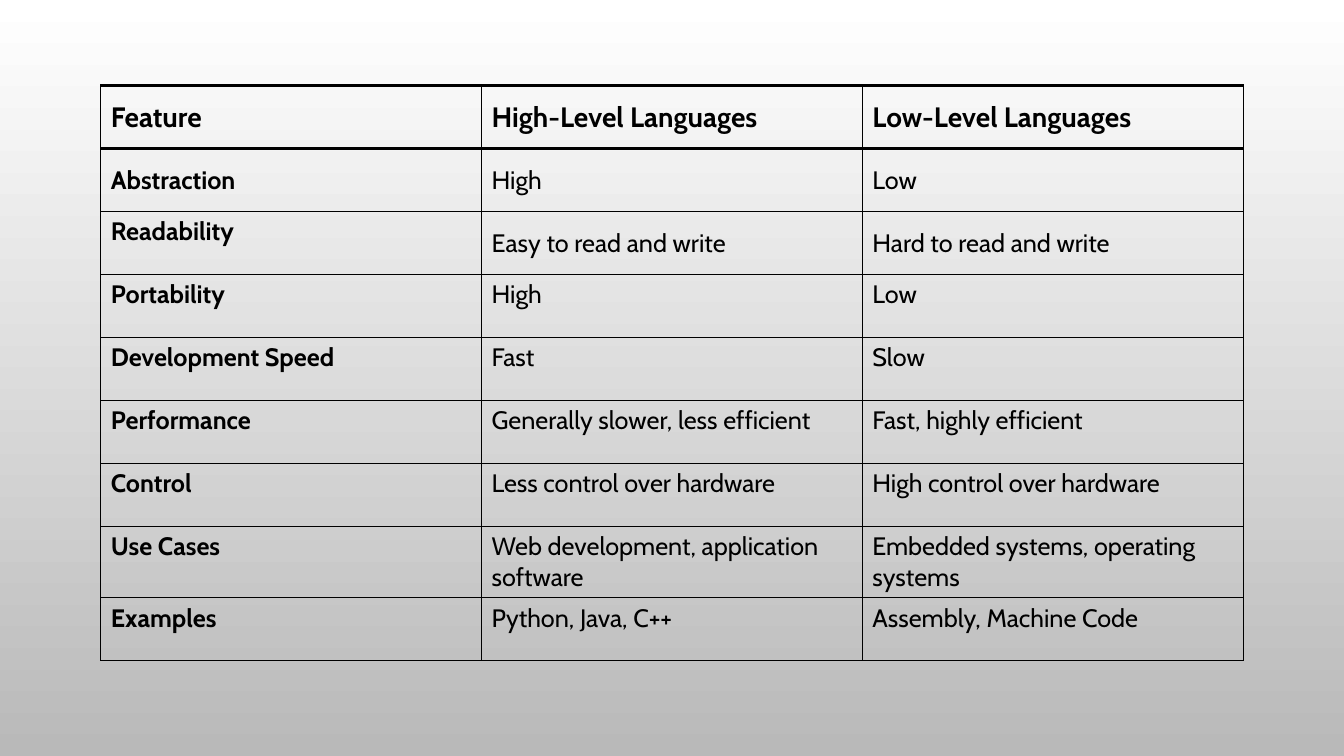
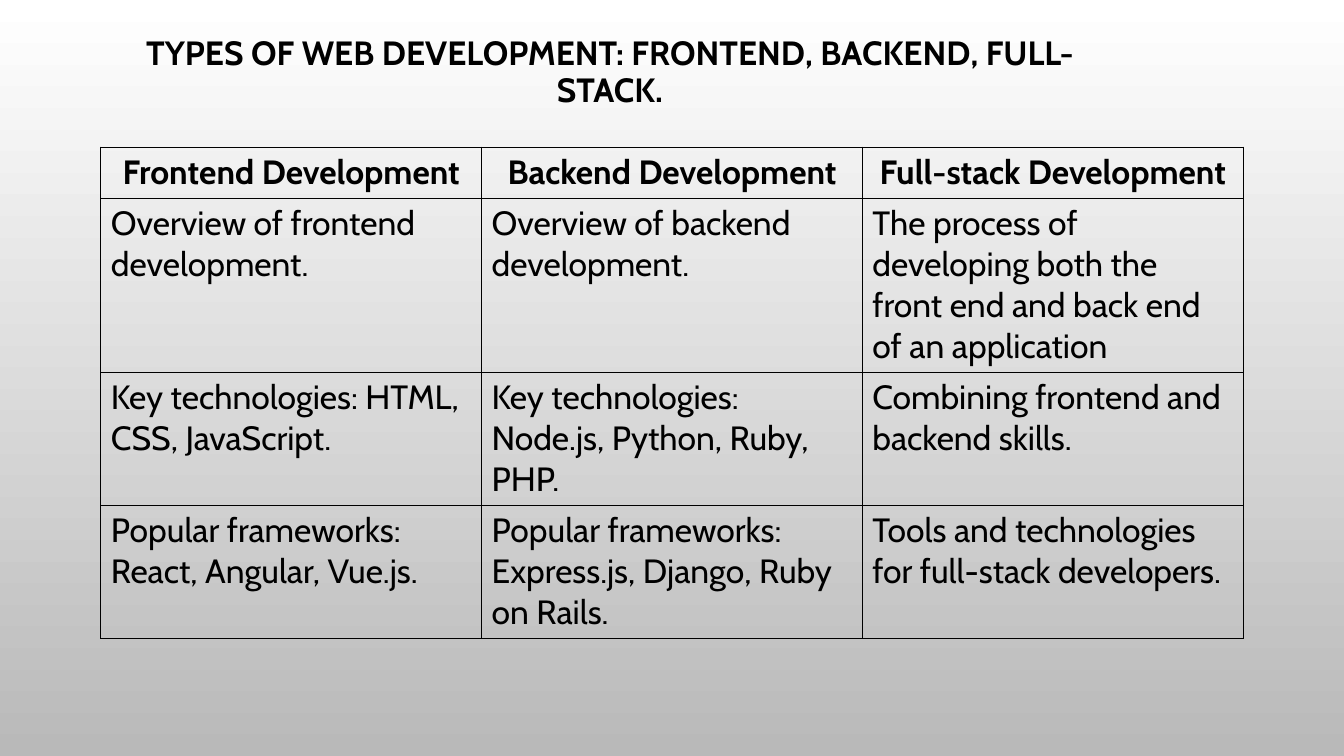
from pptx import Presentation
from pptx.dml.color import RGBColor
from pptx.enum.text import MSO_ANCHOR, MSO_AUTO_SIZE, PP_ALIGN
from pptx.oxml import parse_xml
from pptx.oxml.ns import nsdecls
from pptx.util import Inches, Pt


def tint(code):
    return RGBColor.from_string(code)


def write(frame, text, size=18, bold=False, align=PP_ALIGN.LEFT, color="000000", font="Cabin", space=1.0):
    para = frame.paragraphs[0]
    para.alignment = align
    para.line_spacing = space
    run = para.add_run()
    run.text = text
    run.font.size = Pt(size)
    run.font.bold = bold
    run.font.name = font
    run.font.color.rgb = tint(color)


class Deck:
    """Hold the shared style and the current slide."""

    ink = "000000"
    shades = ("FFFFFF", "B9B9B9")
    left, width = Inches(1), Inches(11.33)

    def __init__(self):
        self.file = Presentation()
        self.file.slide_width = Inches(13.33)
        self.file.slide_height = Inches(7.5)

    def add(self):
        self.slide = self.file.slides.add_slide(self.file.slide_layouts[6])
        fill = self.slide.background.fill
        fill.gradient()
        fill.gradient_angle = 270
        for stop, shade in zip(fill.gradient_stops, self.shades):
            stop.color.rgb = tint(shade)

    def title(self, text):
        box = self.slide.shapes.add_textbox(self.left, Inches(0.48), Inches(10.1), Inches(0.49))
        frame = box.text_frame
        frame.word_wrap = True
        frame.auto_size = MSO_AUTO_SIZE.NONE
        frame.vertical_anchor = MSO_ANCHOR.MIDDLE
        write(frame, text, size=24, bold=True, align=PP_ALIGN.CENTER, space=0.9)

    def border(self, cell, top, base):
        props = cell._tc.get_or_add_tcPr()
        for spot, (side, size) in enumerate(zip("LRTB", (1, 1, top, base))):
            props.insert(spot, parse_xml(
                f'<a:ln{side} {nsdecls("a")} w="{Pt(size)}"><a:solidFill>'
                f'<a:srgbClr val="{self.ink}"/></a:solidFill></a:ln{side}>'))

    def table(self, rows, top, height, style, rule=1, middle=()):
        grid = self.slide.shapes.add_table(
            len(rows), len(rows[0]), self.left, Inches(top), self.width, Inches(height)).table
        grid.first_row = grid.horz_banding = False
        for r, row in enumerate(rows):
            for c, text in enumerate(row):
                cell = grid.cell(r, c)
                cell.fill.background()
                self.border(cell, rule if r < 2 else 1, rule if r == 0 else 1)
                if (r, c) in middle:
                    cell.vertical_anchor = MSO_ANCHOR.MIDDLE
                write(cell.text_frame, text, **style(r, c))
        return grid


def trait(row, col):
    return {"size": 18 if row else 20, "bold": row == 0 or col == 0}


def branch(row, col):
    return {"size": 24, "bold": row == 0, "align": PP_ALIGN.LEFT if row else PP_ALIGN.CENTER}


def main():
    deck = Deck()

    deck.add()
    levels = [
        ("Feature", "High-Level Languages", "Low-Level Languages"),
        ("Abstraction", "High", "Low"),
        ("Readability", "Easy to read and write", "Hard to read and write"),
        ("Portability", "High", "Low"),
        ("Development Speed", "Fast", "Slow"),
        ("Performance", "Generally slower, less efficient", "Fast, highly efficient"),
        ("Control", "Less control over hardware", "High control over hardware"),
        ("Use Cases", "Web development, application software", "Embedded systems, operating systems"),
        ("Examples", "Python, Java, C++", "Assembly, Machine Code"),
    ]
    middle = {(r, c) for r in range(3) for c in range(3)} - {(2, 0)}
    deck.table(levels, 0.85, 5.62, trait, rule=2, middle=middle)

    deck.add()
    deck.title("TYPES OF WEB DEVELOPMENT: FRONTEND, BACKEND, FULL-STACK.")
    types = [
        ("Frontend Development", "Backend Development", "Full-stack Development"),
        ("Overview of frontend development.", "Overview of backend development.",
         "The process of developing both the front end and back end of an application"),
        ("Key technologies: HTML, CSS, JavaScript.", "Key technologies: Node.js, Python, Ruby, PHP.",
         "Combining frontend and backend skills."),
        ("Popular frameworks: React, Angular, Vue.js.", "Popular frameworks: Express.js, Django, Ruby on Rails.",
         "Tools and technologies for full-stack developers."),
    ]
    grid = deck.table(types, 1.46, 4.86, branch)
    for row, height in zip(grid.rows, (0.5, 1.73, 1.31, 1.32)):
        row.height = Inches(height)

    deck.file.save("out.pptx")


if __name__ == "__main__":
    main()
